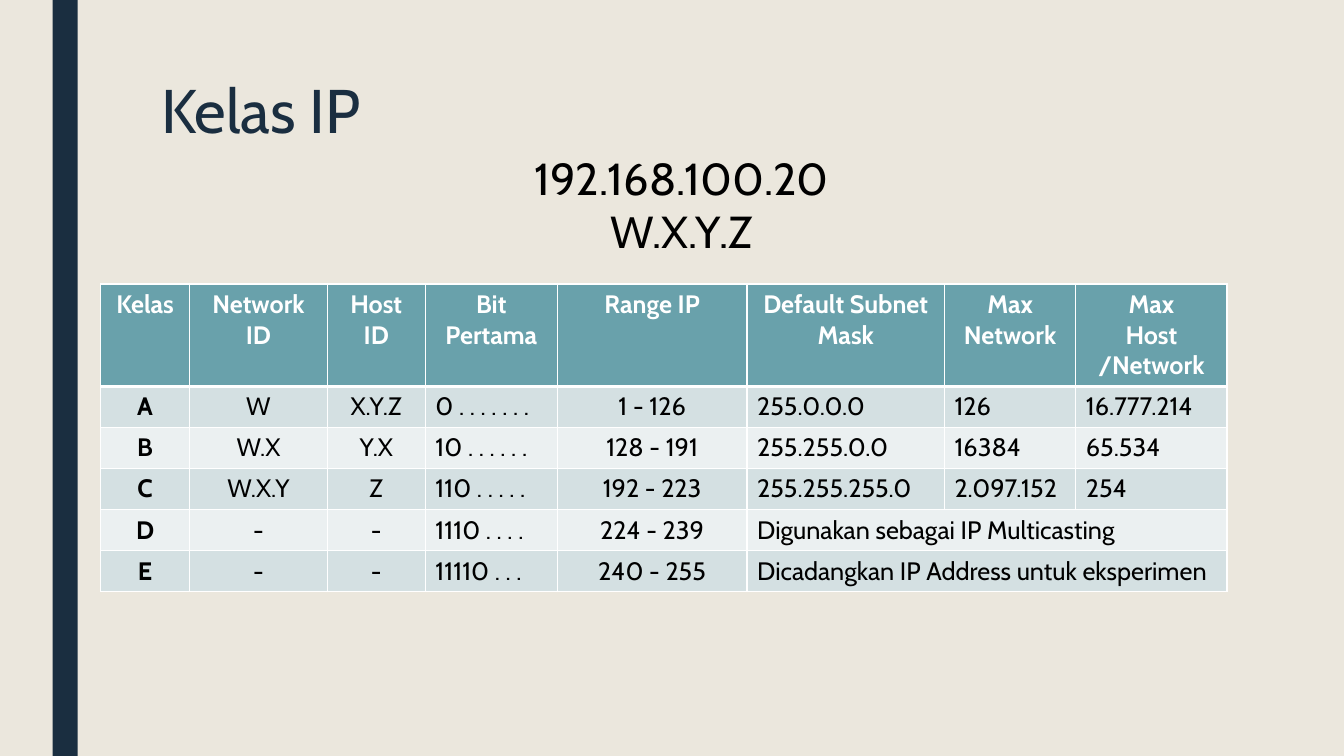
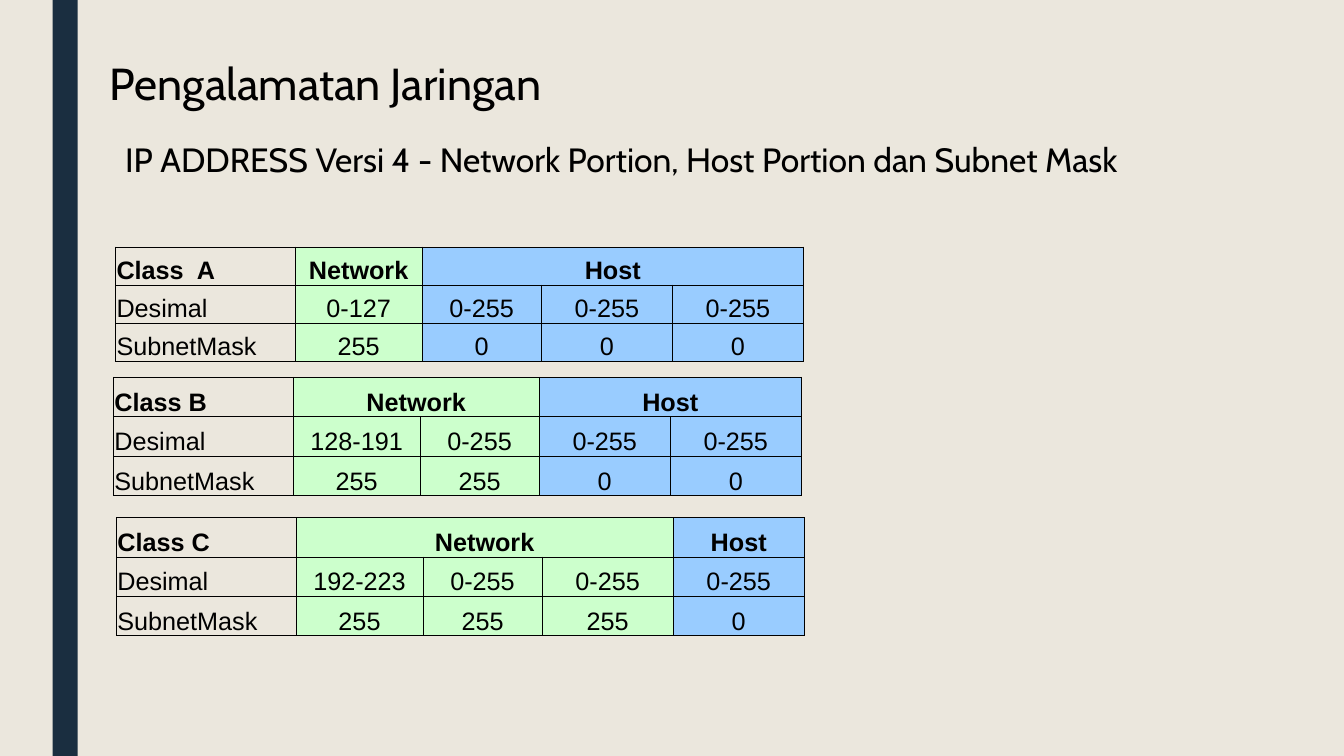
"""Build two slides on IP address classes and their network and host portions."""
from dataclasses import dataclass
from typing import Optional

from lxml import etree
from pptx import Presentation
from pptx import util as u
from pptx.dml.color import RGBColor
from pptx.enum import shapes, text
from pptx.oxml import ns

COLORS = {
    "paper": "EBE7DD", "navy": "1A2E40", "black": "000000", "white": "FFFFFF",
    "teal": "69A1AB", "band_dark": "D4E0E2", "band_light": "EBF0F1",
    "network": "CCFFCC", "host": "99CCFF",
}
WIDTH, HEIGHT = 13.33, 7.5
GRID_COLUMNS, GRID_ROWS = 160, 90
PLAIN_TABLE = "{2D5ABB26-0587-4C30-8999-92F81FD0307C}"
LEFT, CENTER = text.PP_ALIGN.LEFT, text.PP_ALIGN.CENTER

CLASS_HEADINGS = ("Kelas", "Network ID", "Host ID", "Bit Pertama", "Range IP",
                  "Default Subnet Mask", "Max Network", "Max\vHost\v/Network")
CLASS_ROWS = (
    ("A", "W", "X.Y.Z", "0 . . . . . . .", "1 - 126", "255.0.0.0", "126", "16.777.214"),
    ("B", "W.X", "Y.X", "10 . . . . . .", "128 - 191", "255.255.0.0", "16384", "65.534"),
    ("C", "W.X.Y", "Z", "110 . . . . .", "192 - 223", "255.255.255.0", "2.097.152", "254"),
    ("D", "-", "-", "1110 . . . .", "224 - 239", "Digunakan sebagai IP Multicasting"),
    ("E", "-", "-", "11110 . . .", "240 - 255", "Dicadangkan IP Address untuk eksperimen"),
)
CLASS_COLUMNS = (10.65, 16.35, 11.7, 15.7, 22.6, 23.5, 15.65, 18)
CENTERED_COLUMNS = (0, 1, 2, 4)
OCTET_COLUMNS = (21.4, 15.1, 14.2, 15.6, 15.6)
OCTETS = 4


@dataclass(frozen=True)
class Area:
    """A rectangle in grid columns and rows."""
    left: float
    top: float
    width: float
    height: float


@dataclass(frozen=True)
class Portion:
    """A table that splits one address class into network and host octets."""
    name: str
    first_octet: str
    network_octets: int
    left: float
    top: float
    row_height: float


PORTIONS = (
    Portion("Class  A", "0-127", 1, 13.75, 29.4, 4.53),
    Portion("Class B", "128-191", 2, 13.5, 44.9, 4.7),
    Portion("Class C", "192-223", 3, 13.85, 61.6, 4.7),
)


def across(columns: float) -> int:
    """Convert grid columns to a length."""
    return u.Inches(WIDTH * columns / GRID_COLUMNS)


def down(rows: float) -> int:
    """Convert grid rows to a length."""
    return u.Inches(HEIGHT * rows / GRID_ROWS)


def place(area: Area) -> tuple:
    """Return left, top, width and height as lengths."""
    return across(area.left), down(area.top), across(area.width), down(area.height)


def rgb(color: str) -> RGBColor:
    """Look up a named colour."""
    return RGBColor.from_string(COLORS[color])


def write(frame, words: str, *, size: float = 18, font: str = "Cabin",
          color: str = "black", bold: bool = False, align=LEFT,
          spacing: Optional[float] = None) -> None:
    """Write one formatted paragraph into a text frame."""
    frame.word_wrap = True
    paragraph = frame.paragraphs[0]
    paragraph.text = words
    paragraph.alignment = align
    if spacing:
        paragraph.line_spacing = spacing
    for run in paragraph.runs:
        run.font.size, run.font.name, run.font.bold = u.Pt(size), font, bold
        run.font.color.rgb = rgb(color)


def add_words(slide, area: Area, words: str, **style) -> None:
    """Add a text box with one paragraph."""
    write(slide.shapes.add_textbox(*place(area)).text_frame, words, **style)


def add_grid(slide, left: float, top: float, columns: tuple, rows: tuple):
    """Add an unstyled table with the given column widths and row heights."""
    area = Area(left, top, sum(columns), sum(rows))
    table = slide.shapes.add_table(len(rows), len(columns), *place(area)).table
    table.first_row = table.horz_banding = False
    table._tbl.tblPr.find(ns.qn("a:tableStyleId")).text = PLAIN_TABLE
    for column, width in zip(table.columns, columns):
        column.width = across(width)
    for row, height in zip(table.rows, rows):
        row.height = down(height)
    return table


def paint(cell, fill: Optional[str], line: str, width: float, **sides: float) -> None:
    """Give a cell its borders and fill; sides L, R, T and B override the width."""
    properties = cell._tc.get_or_add_tcPr()
    for side in "LRTB":
        border = etree.SubElement(properties, ns.qn(f"a:ln{side}"),
                                  w=str(u.Pt(sides.get(side, width))))
        solid = etree.SubElement(border, ns.qn("a:solidFill"))
        etree.SubElement(solid, ns.qn("a:srgbClr"), val=COLORS[line])
    if fill:
        cell.fill.solid()
        cell.fill.fore_color.rgb = rgb(fill)
    else:
        cell.fill.background()


def add_class_table(slide) -> None:
    """Add the overview of address classes A to E."""
    table = add_grid(slide, 11.95, 33.8, CLASS_COLUMNS, (12.2,) + (4.89,) * len(CLASS_ROWS))
    last = len(CLASS_COLUMNS) - 1
    for column, heading in enumerate(CLASS_HEADINGS):
        cell = table.cell(0, column)
        paint(cell, "teal", "white", 1, B=3)
        write(cell.text_frame, heading, color="white", bold=True, align=CENTER)
    for row, values in enumerate(CLASS_ROWS, 1):
        for column in range(last + 1):
            paint(table.cell(row, column), "band_dark" if row % 2 else "band_light",
                  "white", 1, T=3 if row == 1 else 1)
        if len(values) <= last:
            table.cell(row, len(values) - 1).merge(table.cell(row, last))
        for column, value in enumerate(values):
            write(table.cell(row, column).text_frame, value, bold=column == 0,
                  align=CENTER if column in CENTERED_COLUMNS else LEFT)


def add_portion_table(slide, portion: Portion) -> None:
    """Add the network and host octets of one class."""
    split = portion.network_octets
    hosts = OCTETS - split
    rows = (
        [portion.name, "Network"] + [""] * (split - 1) + ["Host"] + [""] * (hosts - 1),
        ["Desimal", portion.first_octet] + ["0-255"] * (OCTETS - 1),
        ["SubnetMask"] + ["255"] * split + ["0"] * hosts,
    )
    table = add_grid(slide, portion.left, portion.top, OCTET_COLUMNS,
                     (portion.row_height,) * len(rows))
    for row, values in enumerate(rows):
        for column, value in enumerate(values):
            cell = table.cell(row, column)
            fill = None if column == 0 else "network" if column <= split else "host"
            paint(cell, fill, "black", 0.5)
            cell.margin_left = cell.margin_right = cell.margin_top = u.Inches(0.01)
            cell.margin_bottom = 0
            cell.vertical_anchor = text.MSO_ANCHOR.BOTTOM
            if value:
                write(cell.text_frame, value, font="Arial", bold=row == 0,
                      align=CENTER if column else LEFT)
    for first, final in ((1, split), (split + 1, OCTETS)):
        if final > first:
            table.cell(0, first).merge(table.cell(0, final))


def add_slide(deck):
    """Add a blank slide with the shared background and side band."""
    slide = deck.slides.add_slide(deck.slide_layouts[6])
    slide.background.fill.solid()
    slide.background.fill.fore_color.rgb = rgb("paper")
    band = slide.shapes.add_shape(shapes.MSO_SHAPE.RECTANGLE,
                                  *place(Area(6.25, 0, 3, GRID_ROWS)))
    band.shadow.inherit = False
    band.fill.solid()
    band.fill.fore_color.rgb = rgb("navy")
    band.line.fill.background()
    return slide


def main() -> None:
    """Build and save the presentation."""
    deck = Presentation()
    deck.slide_width, deck.slide_height = u.Inches(WIDTH), u.Inches(HEIGHT)

    classes = add_slide(deck)
    add_words(classes, Area(18, 9, 126, 19.4), "Kelas IP", size=44, color="navy", spacing=0.89)
    add_class_table(classes)
    for top, address in ((17.4, "192.168.100.20"), (23.65, "W.X.Y.Z")):
        add_words(classes, Area(60.8, top, 40.7, 7.7), address, size=32, align=CENTER)

    portions = add_slide(deck)
    add_words(portions, Area(11.9, 6.1, 144.6, 7.7), "Pengalamatan Jaringan", size=32)
    add_words(portions, Area(13.7, 16.6, 137, 9.6),
              "IP ADDRESS Versi 4 - Network Portion, Host Portion dan Subnet Mask",
              size=24, align=text.PP_ALIGN.JUSTIFY, spacing=0.87)
    for portion in PORTIONS:
        add_portion_table(portions, portion)

    deck.save("out.pptx")


if __name__ == "__main__":
    main()
